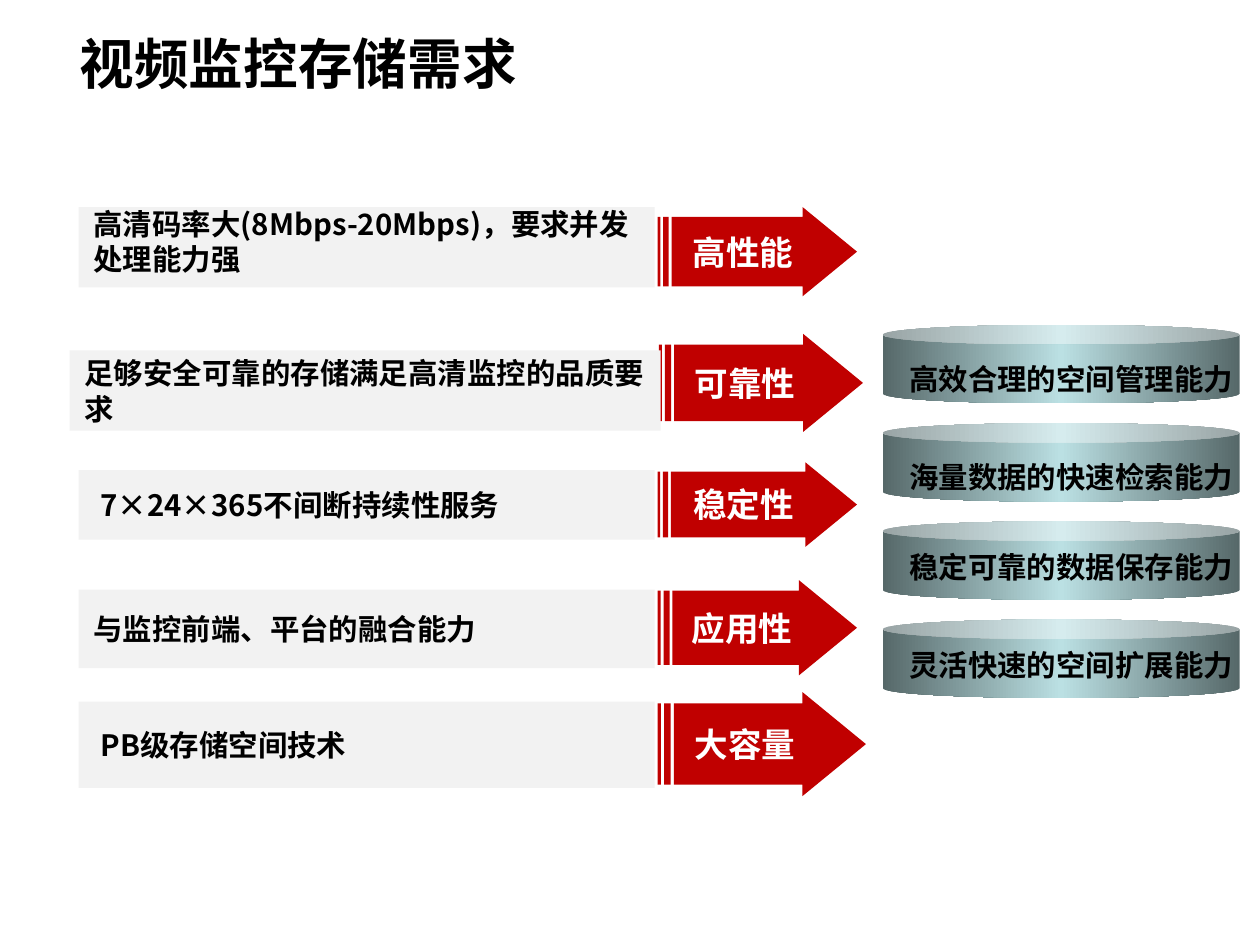
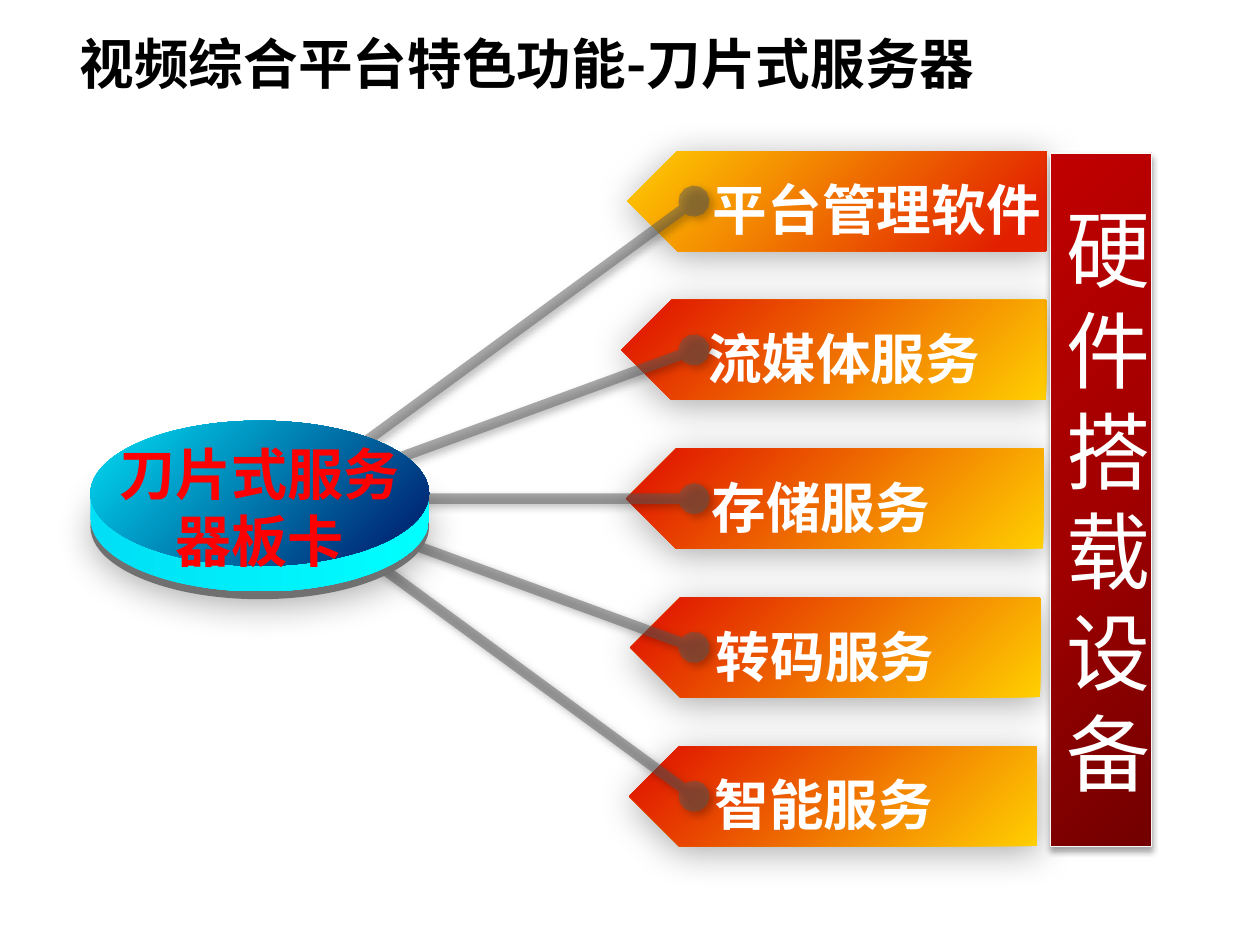
from lxml import etree
from pptx import Presentation
from pptx.dml.color import RGBColor
from pptx.enum.shapes import MSO_CONNECTOR, MSO_SHAPE
from pptx.enum.text import MSO_ANCHOR, PP_ALIGN
from pptx.oxml.ns import qn
from pptx.util import Cm, Pt

RECT = MSO_SHAPE.RECTANGLE
OVAL = MSO_SHAPE.OVAL
CAN = MSO_SHAPE.CAN
ARROW = MSO_SHAPE.STRIPED_RIGHT_ARROW
PENTAGON = MSO_SHAPE.PENTAGON
STRAIGHT = MSO_CONNECTOR.STRAIGHT
MIDDLE = MSO_ANCHOR.MIDDLE
LEFT = PP_ALIGN.LEFT
CENTER = PP_ALIGN.CENTER

FONT = "Noto Sans CJK SC"
BLACK = RGBColor(0x00, 0x00, 0x00)
WHITE = RGBColor(0xFF, 0xFF, 0xFF)
OFF_WHITE = RGBColor(0xF9, 0xF9, 0xF9)
PALE_GREY = RGBColor(0xF2, 0xF2, 0xF2)
MID_GREY = RGBColor(0x70, 0x70, 0x70)
DARK_GREY = RGBColor(0x59, 0x59, 0x59)
CRIMSON = RGBColor(0xC0, 0x00, 0x00)
WINE = RGBColor(0xA2, 0x00, 0x00)
MAROON = RGBColor(0x72, 0x00, 0x00)
RED = RGBColor(0xFF, 0x00, 0x00)
YELLOW = RGBColor(0xFF, 0xCF, 0x01)
SCARLET = RGBColor(0xE2, 0x20, 0x00)
STEEL = RGBColor(0x56, 0x68, 0x69)
ICE = RGBColor(0xBB, 0xE0, 0xE3)
AQUA = RGBColor(0x00, 0xDF, 0xF6)
CYAN = RGBColor(0x00, 0xFF, 0xFF)
NAVY = RGBColor(0x00, 0x27, 0x74)

STEEL_SHEEN = ((0, STEEL), (50, ICE), (100, STEEL))
FLAME = ((0, YELLOW), (90, SCARLET))
DEEP_BLUE = ((0, AQUA), (90, NAVY))
BRIGHT_RIM = ((0, AQUA), (100, CYAN))
DARK_RED = ((0, MAROON), (50, WINE), (100, CRIMSON))

SOFT_SHADOW = (33, 17.8, 3, 87)
LINE_SHADOW = (50, 4, 2, 45)
BAR_SHADOW = (35, 3.1, 1.8, 90)


class Deck:
    def __init__(self):
        self.prs = Presentation()
        self.prs.slide_width, self.prs.slide_height = Cm(21.17), Cm(15.88)
        self.slide = None

    def add_slide(self, heading, width):
        self.slide = self.prs.slides.add_slide(self.prs.slide_layouts[5])
        title = self.slide.shapes.title
        title.left, title.top, title.width, title.height = Cm(1.09), Cm(0.64), Cm(width), Cm(0.81)
        self.set_words(title, heading, 26, align=LEFT)

    def set_words(self, shape, words, size, color=BLACK, align=CENTER, bold=True, margins=(0.25, 0, 0.25, 0)):
        frame = shape.text_frame
        frame.word_wrap = True
        frame.vertical_anchor = MIDDLE
        frame.margin_left, frame.margin_top, frame.margin_right, frame.margin_bottom = map(Cm, margins)
        frame.text = words
        paragraph = frame.paragraphs[0]
        paragraph.alignment = align
        paragraph.line_spacing = Pt(round(size * 1.2, 1))
        for run in paragraph.runs:
            run.font.size, run.font.bold, run.font.name = Pt(size), bold, FONT
            run.font.color.rgb = color
            east_asian = etree.Element(qn("a:ea"), typeface=FONT)
            run.font._element.find(qn("a:latin")).addnext(east_asian)

    def label(self, box, words, size, color=BLACK, align=CENTER, margins=(0.25, 0, 0.25, 0)):
        self.set_words(self.slide.shapes.add_textbox(*map(Cm, box)), words, size, color, align, margins=margins)

    def shape(self, kind, box, fill, angle=0, shadow=None):
        shape = self.slide.shapes.add_shape(kind, *map(Cm, box))
        shape.shadow.inherit = False
        shape.line.fill.background()
        if isinstance(fill, RGBColor):
            shape.fill.solid()
            shape.fill.fore_color.rgb = fill
        else:
            self.blend(shape, fill, angle)
        if shadow:
            self.cast(shape, shadow)
        return shape

    def blend(self, shape, stops, angle):
        shape.fill.gradient()
        shape.fill.gradient_angle = -angle % 360
        stop_list = next(shape._element.iter(qn("a:gsLst")))
        for stop in list(stop_list):
            stop_list.remove(stop)
        for position, color in stops:
            stop = etree.SubElement(stop_list, qn("a:gs"), pos=str(position * 1000))
            etree.SubElement(stop, qn("a:srgbClr"), val=str(color))

    def cast(self, shape, shadow):
        alpha, blur, distance, direction = shadow
        effects = shape._element.spPr.find(qn("a:effectLst"))
        outer = etree.SubElement(
            effects, qn("a:outerShdw"), blurRad=str(Pt(blur)), dist=str(Pt(distance)),
            dir=str(direction * 60000), algn="ctr", rotWithShape="0")
        tone = etree.SubElement(outer, qn("a:srgbClr"), val=str(BLACK))
        etree.SubElement(tone, qn("a:alpha"), val=str(alpha * 1000))

    def spoke(self, start, end):
        spoke = self.slide.shapes.add_connector(STRAIGHT, *map(Cm, start + end))
        spoke.line.width = Pt(5)
        spoke.line.color.rgb = DARK_GREY
        tone = next(spoke._element.spPr.iter(qn("a:srgbClr")))
        etree.SubElement(tone, qn("a:alpha"), val="50000")
        line = spoke._element.spPr.find(qn("a:ln"))
        for tip in ("a:headEnd", "a:tailEnd"):
            etree.SubElement(line, qn(tip), type="oval")
        etree.SubElement(spoke._element.spPr, qn("a:effectLst"))
        self.cast(spoke, LINE_SHADOW)

    def need(self, quality, arrow_box, detail, detail_box, margins):
        arrow = self.shape(ARROW, arrow_box, CRIMSON)
        arrow.adjustments[0], arrow.adjustments[1] = 0.78, 0.61
        self.set_words(arrow, quality, 16, WHITE)
        self.set_words(self.shape(RECT, detail_box, PALE_GREY), detail, 14, align=LEFT, margins=margins)

    def service(self, words, left, top, right, angle):
        plate = self.shape(PENTAGON, (left, top, right - left, 1.68), FLAME, angle, SOFT_SHADOW)
        plate.rotation = 180
        self.label((left + 1.19, top + 0.27, 6.2, 1.4), words, 26, WHITE, LEFT)

    def disc(self, words, left, top, width, height, depth):
        self.shape(OVAL, (left, top + depth + 0.13, width, height), MID_GREY, shadow=SOFT_SHADOW)
        self.shape(OVAL, (left, top + depth, width, height), BRIGHT_RIM)
        self.shape(RECT, (left, top + height / 2, width, depth), BRIGHT_RIM)
        self.shape(OVAL, (left, top, width, height), DEEP_BLUE, 45)
        self.label((left - 0.15, top + 0.17, width + 0.3, 2.54), words, 26.7, RED)


def storage_needs(deck):
    deck.add_slide("视频监控存储需求", 15.29)
    plain, indented, raised = (0.25, 0, 0.25, 0), (0.37, 0, 0.25, 0), (0.25, 0, 0.25, 0.2)
    needs = [
        ("高性能", (11.05, 3.48, 3.35, 1.5),
         "高清码率大(8Mbps-20Mbps)，要求并发处理能力强", (1.32, 3.48, 9.68, 1.35), raised),
        ("可靠性", (11.07, 5.61, 3.43, 1.65),
         "足够安全可靠的存储满足高清监控的品质要求", (1.17, 5.89, 9.93, 1.35), plain),
        ("稳定性", (11.05, 7.77, 3.35, 1.42),
         "7×24×365不间断持续性服务", (1.32, 7.9, 9.68, 1.17), indented),
        ("应用性", (11.05, 9.75, 3.35, 1.6),
         "与监控前端、平台的融合能力", (1.32, 9.91, 9.68, 1.32), plain),
        ("大容量", (11.05, 11.63, 3.5, 1.75),
         "PB级存储空间技术", (1.32, 11.79, 9.68, 1.45), indented),
    ]
    for need in needs:
        deck.need(*need)

    abilities = [
        ("高效合理的空间管理能力", 0.48),
        ("海量数据的快速检索能力", 0.48),
        ("稳定可靠的数据保存能力", 0.33),
        ("灵活快速的空间扩展能力", 0.33),
    ]
    for index, (ability, drop) in enumerate(abilities):
        top = 5.46 + 1.65 * index
        deck.shape(CAN, (14.83, top, 6, 1.32), STEEL_SHEEN)
        deck.label((15, top + drop, 6, 0.86), ability, 14, margins=(0, 0, 0, 0))


def blade_server(deck):
    deck.add_slide("视频综合平台特色功能-刀片式服务器", 15.9)
    services = [
        ("平台管理软件", 10.54, 17.58, 225),
        ("流媒体服务", 10.44, 17.58, 45),
        ("存储服务", 10.52, 17.53, 45),
        ("转码服务", 10.59, 17.48, 45),
        ("智能服务", 10.57, 17.42, 45),
    ]
    tops = [2.54 + 2.5 * index for index in range(len(services))]
    for top, (words, left, right, angle) in zip(tops, services):
        deck.service(words, left, top, right, angle)
    for top in tops:
        deck.spoke((4.83, 8.38), (11.66, top + 0.84))
    deck.disc("刀片式服务器板卡", 1.52, 7.07, 5.69, 2.44, 0.43)

    hardware = deck.shape(RECT, (17.65, 2.57, 1.7, 11.66), DARK_RED, 225, BAR_SHADOW)
    hardware.line.color.rgb = OFF_WHITE
    hardware.line.width = Pt(0.75)
    deck.set_words(hardware, "硬件搭载设备", 40, WHITE, bold=False, margins=(0.25, 0, 0, 0))


def main():
    deck = Deck()
    storage_needs(deck)
    blade_server(deck)
    deck.prs.save("out.pptx")


if __name__ == "__main__":
    main()
